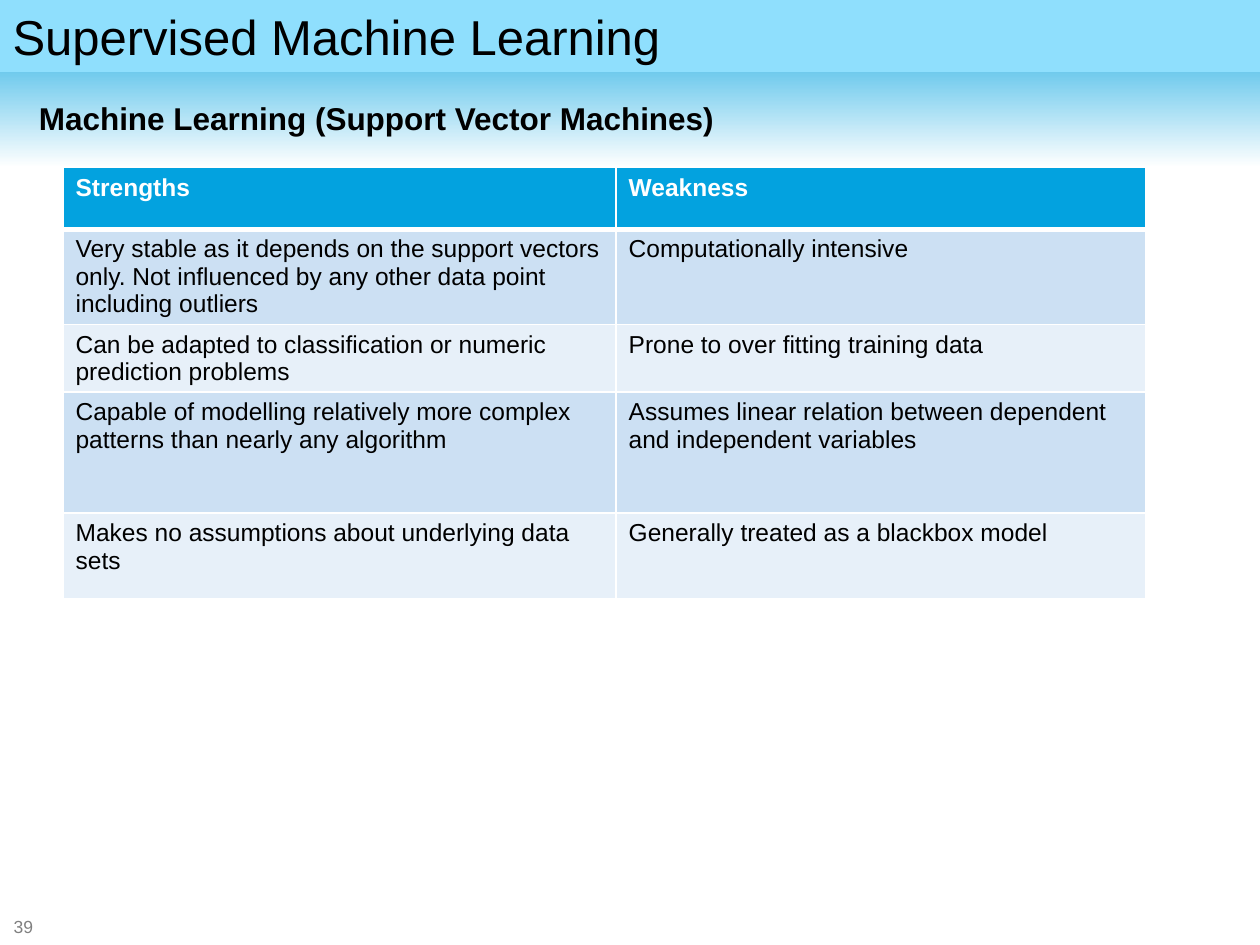
from lxml import etree
from pptx import Presentation
from pptx import util as u
from pptx.dml.color import RGBColor
from pptx.enum import shapes, text
from pptx.oxml.ns import qn

ROWS = [
    ("Strengths", "Weakness"),
    ("Very stable as it depends on the support vectors only. Not influenced by any "
     "other data point including outliers", "Computationally intensive"),
    ("Can be adapted to classification or numeric prediction problems",
     "Prone to over fitting training data"),
    ("Capable of modelling relatively more complex patterns than nearly any algorithm",
     "Assumes linear relation between dependent and independent variables"),
    ("Makes no assumptions about underlying data sets",
     "Generally treated as a blackbox model"),
]
COL_WIDTHS = (4.39, 4.2)
ROW_HEIGHTS = (0.49, 0.68, 0.49, 0.96, 0.68)


def rgb(color):
    return RGBColor.from_string(color)


def inches(box):
    return [u.Inches(v) for v in box]


def write(tf, content, size=14, color="000000", bold=False, anchor=text.MSO_ANCHOR.TOP):
    tf.word_wrap = True
    tf.vertical_anchor = anchor
    p = tf.paragraphs[0]
    p.alignment = text.PP_ALIGN.LEFT
    r = p.add_run()
    r.text = content
    r.font.name = "Arial"
    r.font.size = u.Pt(size)
    r.font.bold = bold
    r.font.color.rgb = rgb(color)


def add_background(s, box):
    sp = s.shapes.add_shape(shapes.MSO_SHAPE.RECTANGLE, *inches(box))
    sp.shadow.inherit = False
    sp.line.fill.background()
    sp.fill.gradient()
    sp.fill.gradient_angle = 270
    for stop, color in zip(sp.fill.gradient_stops, ("03A2DF", "FFFFFF")):
        stop.color.rgb = rgb(color)
    s.shapes.element.insert(2, sp.element)


def add_title(s, box, content):
    sp = s.shapes.title
    sp.left, sp.top, sp.width, sp.height = inches(box)
    sp.fill.solid()
    sp.fill.fore_color.rgb = rgb("8FDFFD")
    tf = sp.text_frame
    tf.auto_size = text.MSO_AUTO_SIZE.NONE
    write(tf, content, size=28, anchor=text.MSO_ANCHOR.BOTTOM)


def add_text(s, box, content, **fmt):
    tf = s.shapes.add_textbox(*inches(box)).text_frame
    tf.margin_top = tf.margin_bottom = u.Inches(0.03)
    write(tf, content, **fmt)


def set_borders(cell, bottom=1, top=1):
    tcPr = cell._tc.get_or_add_tcPr()
    widths = {"a:lnL": 1, "a:lnR": 1, "a:lnT": top, "a:lnB": bottom}
    for i, (tag, width) in enumerate(widths.items()):
        ln = etree.Element(qn(tag), w=str(u.Pt(width)))
        fill = etree.SubElement(ln, qn("a:solidFill"))
        etree.SubElement(fill, qn("a:srgbClr"), val="FFFFFF")
        tcPr.insert(i, ln)


def add_comparison(s, box):
    table = s.shapes.add_table(len(ROWS), len(COL_WIDTHS), *inches(box)).table
    for col, width in zip(table.columns, COL_WIDTHS):
        col.width = u.Inches(width)
    for i, (row, height) in enumerate(zip(table.rows, ROW_HEIGHTS)):
        row.height = u.Inches(height)
        header = i == 0
        fill = "03A2DF" if header else ("E7F0F9", "CCE0F3")[i % 2]
        for cell, content in zip(row.cells, ROWS[i]):
            cell.fill.solid()
            cell.fill.fore_color.rgb = rgb(fill)
            write(cell.text_frame, content, bold=header,
                  color="FFFFFF" if header else "000000")
            set_borders(cell, bottom=3 if header else 1, top=3 if i == 1 else 1)


def main():
    prs = Presentation()
    prs.slide_width, prs.slide_height = u.Inches(10), u.Inches(7.5)
    s = prs.slides.add_slide(prs.slide_layouts[5])
    add_background(s, (0, 0, 10, 1.33))
    add_title(s, (0, 0, 10, 0.57), "Supervised Machine Learning")
    add_comparison(s, (0.5, 1.33, 8.59, 3.3))
    add_text(s, (0.21, 0.71, 9.21, 0.45), "Machine Learning (Support Vector Machines)",
             size=18, bold=True, anchor=text.MSO_ANCHOR.MIDDLE)
    add_text(s, (0.01, 7.27, 0.39, 0.16), "39", size=10, color="808080",
             anchor=text.MSO_ANCHOR.MIDDLE)
    prs.save("out.pptx")


if __name__ == "__main__":
    main()
